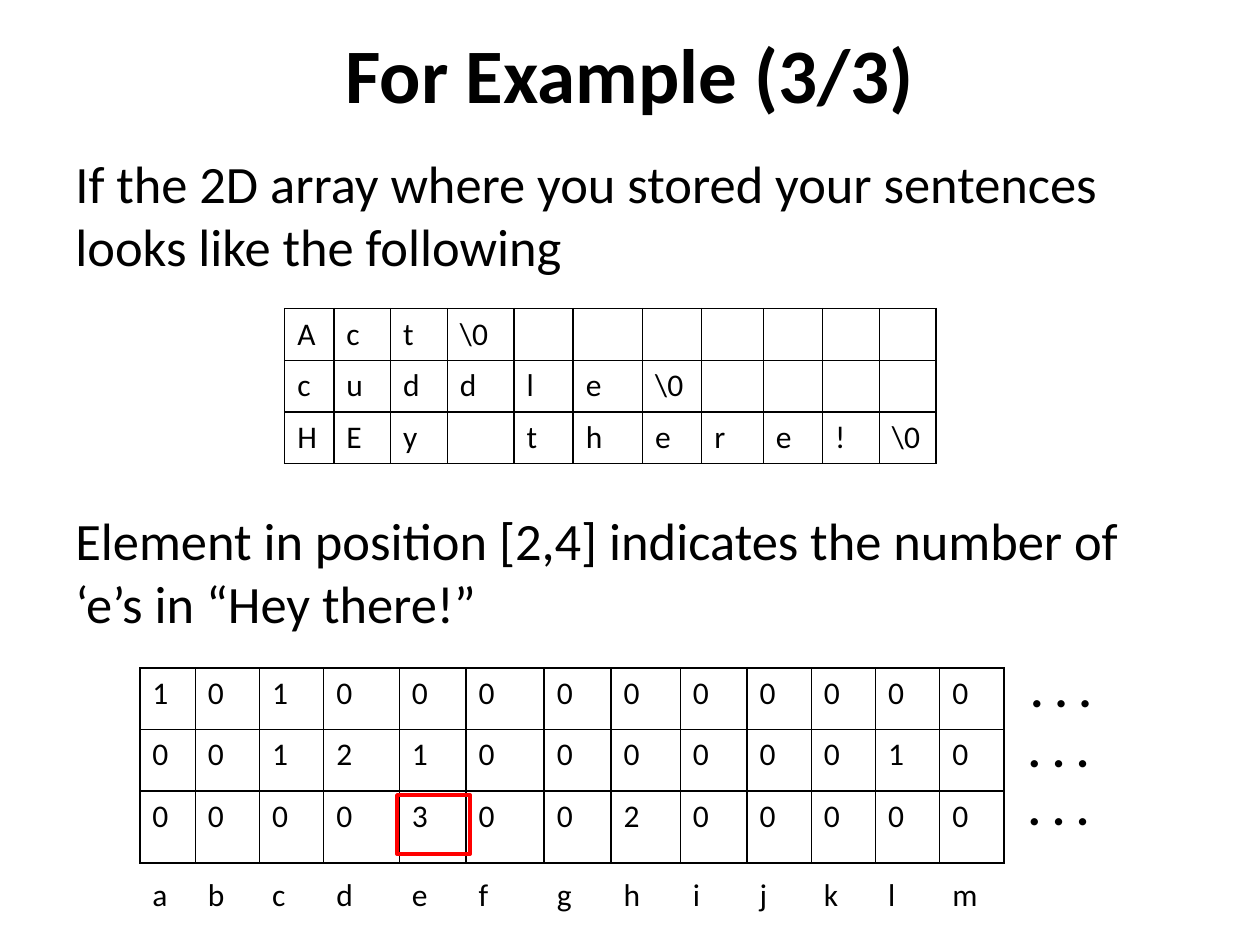
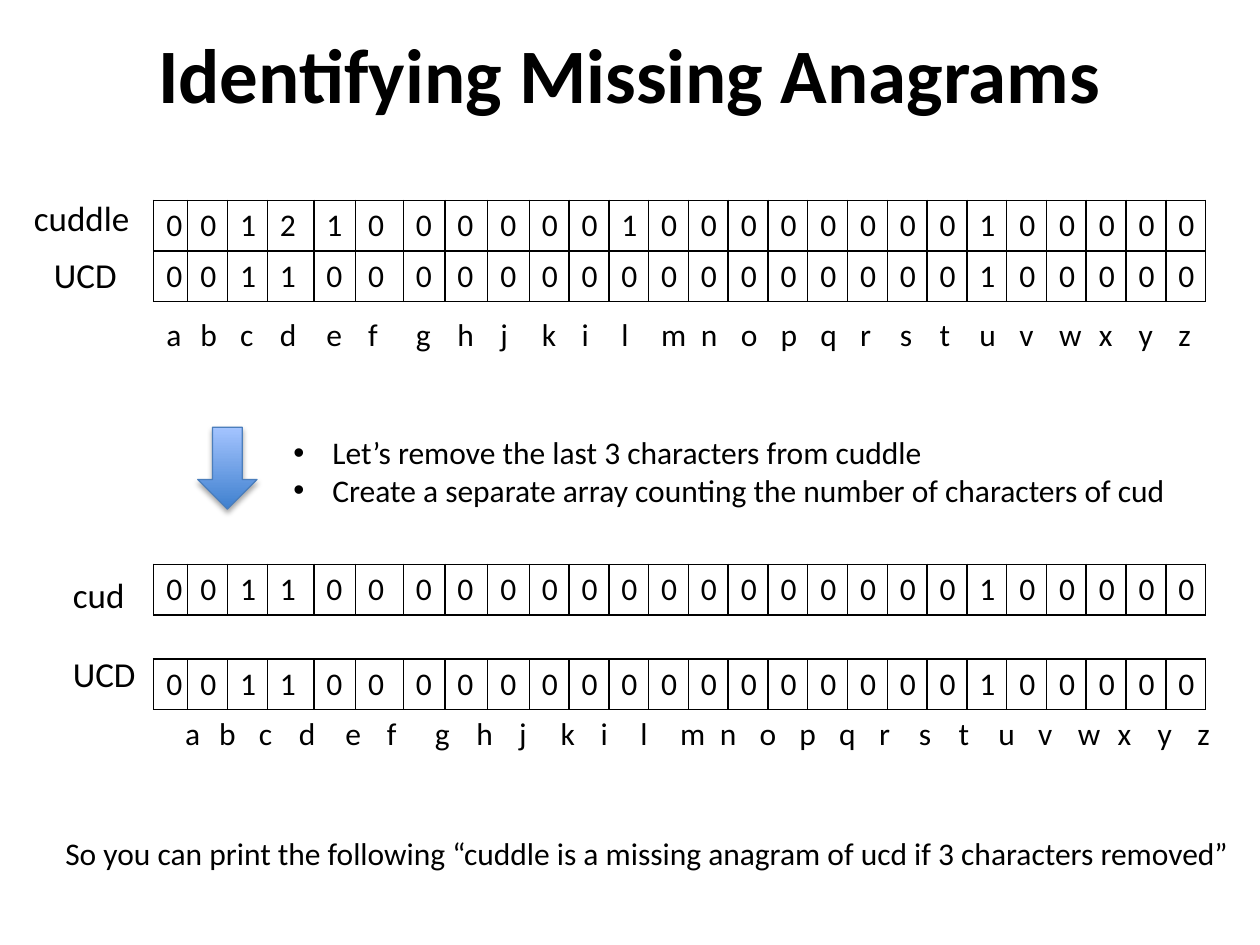
from lxml import etree
from pptx import Presentation
from pptx.dml.color import RGBColor
from pptx.enum.shapes import MSO_SHAPE as Shape
from pptx.enum.text import MSO_ANCHOR as Anchor, PP_ALIGN as Align
from pptx.oxml.ns import qn
from pptx.util import Inches, Pt

COLORS = {
    "text": "000000",
    "grid": "000000",
    "highlight": "FF0000",
    "arrow_dark": "3F80CE",
    "arrow_light": "A4C4FF",
    "arrow_line": "4B7EBC",
    "shadow": "000000",
}
FONT = "Calibri"
TITLE_ONLY = 5

# Letter columns and their widths
FIRST_LETTERS = "abcdefghijklm"
FIRST_WIDTHS = [0.44, 0.51, 0.51, 0.6, 0.53, 0.62, 0.53, 0.55, 0.53] + [0.51] * 4
ALL_LETTERS = "abcdefghjkilmnopqrstuvwxyz"
ALL_WIDTH = 8.35
SPECIAL_WIDTHS = {"a": 0.27, "d": 0.37, "e": 0.33, "f": 0.38,
                  "g": 0.33, "h": 0.34, "j": 0.33}
PLAIN_WIDTH = ((ALL_WIDTH - sum(SPECIAL_WIDTHS.values()))
               / (len(ALL_LETTERS) - len(SPECIAL_WIDTHS)))
ALL_WIDTHS = [SPECIAL_WIDTHS.get(letter, PLAIN_WIDTH) for letter in ALL_LETTERS]


def color(name):
    return RGBColor.from_string(COLORS[name])


def format_text(para, size, bold=False):
    for span in para.runs:
        span.font.name = FONT
        span.font.size = Pt(size)
        span.font.bold = bold
        span.font.color.rgb = color("text")


def add_page(deck, title):
    page = deck.slides.add_slide(deck.slide_layouts[TITLE_ONLY])
    box = page.shapes.title
    box.left, box.top = Inches(0), Inches(0.07)
    box.width, box.height = Inches(10), Inches(1.02)
    frame = box.text_frame
    frame.text = title
    frame.vertical_anchor = Anchor.MIDDLE
    frame.paragraphs[0].alignment = Align.CENTER
    format_text(frame.paragraphs[0], 44, bold=True)
    return page


def add_text(page, text, left, top, width, height, size, bold=False, wrap=True):
    box = page.shapes.add_textbox(Inches(left), Inches(top),
                                  Inches(width), Inches(height))
    box.text_frame.text = text
    box.text_frame.word_wrap = wrap
    for para in box.text_frame.paragraphs:
        format_text(para, size, bold)
    return box


def add_bullets(box):
    for para in box.text_frame.paragraphs:
        props = para._p.get_or_add_pPr()
        props.set("marL", str(Inches(0.31)))
        props.set("indent", str(-Inches(0.31)))
        bullet_font = etree.SubElement(props, qn("a:buFont"))
        bullet_font.set("typeface", "Arial")
        etree.SubElement(props, qn("a:buChar")).set("char", "•")


def set_borders(cell, visible):
    props = cell._tc.get_or_add_tcPr()
    for position, side in enumerate(("lnL", "lnR", "lnT", "lnB")):
        line = etree.Element(qn(f"a:{side}"), w=str(Pt(1)))
        if visible:
            fill = etree.SubElement(line, qn("a:solidFill"))
            etree.SubElement(fill, qn("a:srgbClr"), val=COLORS["grid"])
        else:
            etree.SubElement(line, qn("a:noFill"))
        props.insert(position, line)


def add_grid(page, rows, left, top, widths, heights, borders=True):
    frame = page.shapes.add_table(len(rows), len(widths), Inches(left), Inches(top),
                                  Inches(sum(widths)), Inches(sum(heights)))
    table = frame.table
    table.first_row = table.horz_banding = False
    for column, width in zip(table.columns, widths):
        column.width = Inches(width)
    for row, height, values in zip(table.rows, heights, rows):
        row.height = Inches(height)
        for cell, value in zip(row.cells, values):
            cell.fill.background()
            set_borders(cell, borders)
            cell.text = str(value)
            format_text(cell.text_frame.paragraphs[0], 18)


def count_letters(sentence, letters):
    return [sentence.lower().count(letter) for letter in letters]


def stored_characters(sentence, length):
    characters = [*sentence.replace(" ", "\0"), "\\0"]
    characters = ["" if item == "\0" else item for item in characters]
    return characters + [""] * (length - len(characters))


def add_highlight(page, left, top, width, height):
    box = page.shapes.add_shape(Shape.RECTANGLE, Inches(left), Inches(top),
                                Inches(width), Inches(height))
    box.shadow.inherit = False
    box.fill.background()
    box.line.color.rgb = color("highlight")
    box.line.width = Pt(2)


def add_down_arrow(page, left, top, width, height):
    arrow = page.shapes.add_shape(Shape.DOWN_ARROW, Inches(left), Inches(top),
                                  Inches(width), Inches(height))
    arrow.fill.gradient()
    arrow.fill.gradient_angle = 90
    for stop, name in zip(arrow.fill.gradient_stops, ("arrow_dark", "arrow_light")):
        stop.color.rgb = color(name)
    arrow.line.color.rgb = color("arrow_line")
    arrow.line.width = Pt(0.75)
    # Soft shadow below the arrow
    arrow.shadow.inherit = False
    effects = arrow._element.spPr.find(qn("a:effectLst"))
    shadow = etree.SubElement(effects, qn("a:outerShdw"), blurRad=str(Pt(3.1)),
                              dist=str(Pt(1.8)), dir="5400000", rotWithShape="0")
    tint = etree.SubElement(shadow, qn("a:srgbClr"), val=COLORS["shadow"])
    etree.SubElement(tint, qn("a:alpha"), val="35000")


def build_example(deck):
    page = add_page(deck, "For Example (3/3)")
    sentences = ["Act", "cuddle", "HEy there!"]

    # Stored sentences
    add_text(page, "If the 2D array where you stored your sentences "
             "looks like the following", 0.5, 1.15, 9, 1.34, 30)
    widths = [0.39, 0.45, 0.45, 0.53, 0.47, 0.55, 0.47, 0.49, 0.47, 0.45, 0.45]
    rows = [stored_characters(sentence, len(widths)) for sentence in sentences]
    add_grid(page, rows, 2.26, 2.45, widths, [0.41] * 3)

    # Letter counts of each sentence
    add_text(page, "Element in position [2,4] indicates the number of "
             "‘e’s in “Hey there!”", 0.5, 3.98, 9, 1.34, 30)
    counts = [count_letters(sentence, FIRST_LETTERS) for sentence in sentences]
    add_grid(page, counts, 1.11, 5.3, FIRST_WIDTHS, [0.49, 0.49, 0.57])
    add_grid(page, [FIRST_LETTERS], 1.11, 6.91, FIRST_WIDTHS, [0.4], borders=False)
    for left, top in ((8.08, 5.18), (8.06, 5.65), (8.06, 6.11)):
        add_text(page, ". . .", left, top, 0.69, 0.57, 28, bold=True, wrap=False)
    add_highlight(page, 3.15, 6.31, 0.58, 0.47)


def build_anagrams(deck):
    page = add_page(deck, "Identifying Missing Anagrams")

    # Row labels
    for word, left, top in (("cuddle", 0.17, 1.51), ("UCD", 0.33, 1.96),
                            ("cud", 0.48, 4.5), ("UCD", 0.48, 5.13)):
        add_text(page, word, left, top, 6.51, 0.63, 20)

    # Letter counts before and after the removal
    for words, top in ((["cuddle", "UCD"], 1.59), (["cud"], 4.48), (["UCD"], 5.23)):
        counts = [count_letters(word, ALL_LETTERS) for word in words]
        add_grid(page, counts, 1.22, top, ALL_WIDTHS, [0.4] * len(words))
    for left, top in ((1.22, 2.46), (1.37, 5.63)):
        add_grid(page, [ALL_LETTERS], left, top, ALL_WIDTHS, [0.4], borders=False)

    # Removal step
    add_down_arrow(page, 1.57, 3.39, 0.47, 0.65)
    steps = add_text(page, "Let’s remove the last 3 characters from cuddle\n"
                     "Create a separate array counting the number of characters of cud",
                     2.23, 3.39, 7.77, 0.71, 18)
    add_bullets(steps)

    # Conclusion
    add_text(page, "So you can print the following “cuddle is a missing anagram "
             "of ucd if 3 characters removed”", 0.42, 6.57, 9.57, 0.4, 18, wrap=False)


def main():
    deck = Presentation()
    deck.slide_width, deck.slide_height = Inches(10), Inches(7.5)
    build_example(deck)
    build_anagrams(deck)
    deck.save("out.pptx")


if __name__ == "__main__":
    main()
